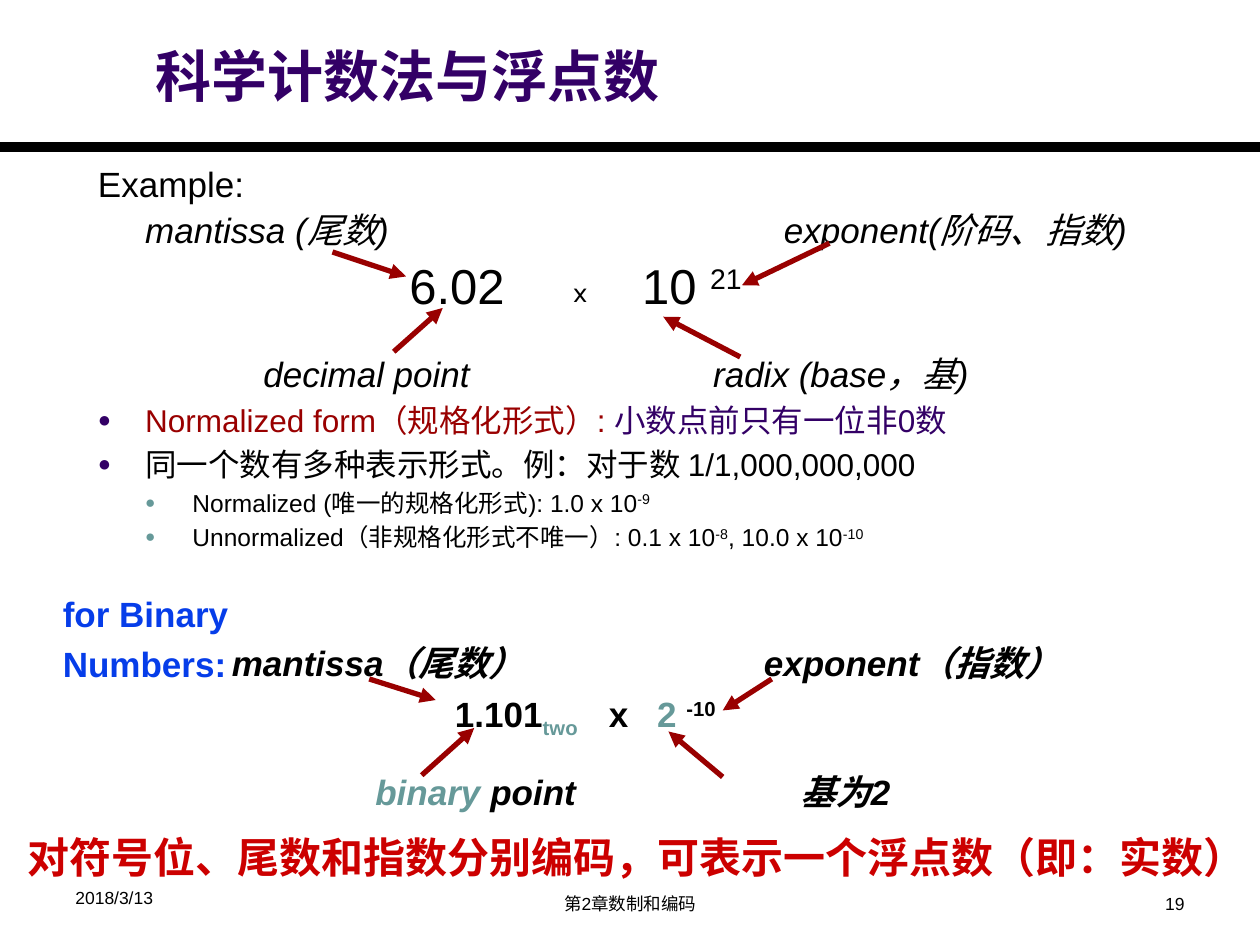
from lxml import etree
from pptx import Presentation
from pptx.dml.color import RGBColor
from pptx.enum import shapes, text
from pptx.oxml import ns
from pptx.util import Pt

BLACK = RGBColor(0, 0, 0)
PURPLE = RGBColor(0x33, 0x00, 0x66)
DARK_RED = RGBColor(0x99, 0x00, 0x00)
RED = RGBColor(0xCC, 0x00, 0x00)
TEAL = RGBColor(0x66, 0x99, 0x99)
BLUE = RGBColor(0x06, 0x3D, 0xE9)
SPACE_RATIO = 0.2  # space before a bullet, as a share of its text size
EXAMPLE_GAP = 112  # room for the decimal number and its labels
INDENT = 27


def add_child(parent, tag, **attributes):
    child = etree.SubElement(parent, ns.qn(tag))
    for name, value in attributes.items():
        child.set(name, str(value))
    return child


def add_span(para, words, size=20, font="Arial", color=BLACK, bold=False,
             italic=False, baseline=0):
    span = para.add_run()
    span.text = words
    span.font.size = Pt(size)
    span.font.name = font
    span.font.color.rgb = color
    span.font.bold = bold
    span.font.italic = italic
    if baseline:
        span.font._element.set("baseline", str(baseline * 1000))


def add_para(frame, spans, before=0, spacing=1.0, align=text.PP_ALIGN.LEFT,
             level=0, bullet=None):
    """Add a paragraph of (words, format) spans, with a bullet if coloured."""
    para = frame.paragraphs[0]
    if para.runs:
        para = frame.add_paragraph()
    para.level = level
    para.alignment = align
    para.line_spacing = spacing
    para.space_before = Pt(before)
    props = para._p.get_or_add_pPr()
    props.set("marL", str(Pt(INDENT * (level + 1) if bullet else 0)))
    props.set("indent", str(Pt(-INDENT if bullet else 0)))
    if bullet:
        add_child(add_child(props, "a:buClr"), "a:srgbClr", val=bullet)
        add_child(props, "a:buSzPct", val=70000)
        add_child(props, "a:buChar", char="●")
    else:
        add_child(props, "a:buNone")
    for words, style in spans:
        add_span(para, words, **style)


def place(box, left, top, width, height):
    box.left, box.top, box.width, box.height = map(Pt, (left, top, width, height))


def set_frame(box, anchor, side, edge):
    frame = box.text_frame
    frame.word_wrap = True
    frame.auto_size = text.MSO_AUTO_SIZE.NONE
    frame.vertical_anchor = anchor
    frame.margin_left = frame.margin_right = Pt(side)
    frame.margin_top = frame.margin_bottom = Pt(edge)
    return frame


def add_box(page, left, top, width, height, side=7.2, edge=3.6):
    box = page.shapes.add_textbox(*map(Pt, (left, top, width, height)))
    return set_frame(box, text.MSO_ANCHOR.TOP, side, edge)


def add_label(page, left, top, width, *spans):
    add_para(add_box(page, left, top, width, 34, side=0, edge=0), spans)


def add_line(page, start, end, color, width, arrow=False):
    line = page.shapes.add_connector(
        shapes.MSO_CONNECTOR.STRAIGHT, *map(Pt, (*start, *end)))
    line.line.color.rgb = color
    line.line.width = Pt(width)
    if arrow:
        add_child(line.line._get_or_add_ln(), "a:tailEnd", type="triangle")
    add_child(line._element.spPr, "a:effectLst")


def fill_body(frame):
    add_para(frame, [("Example:", {})], spacing=0.9)
    main, sub = dict(bullet=PURPLE), dict(level=1, bullet=TEAL)
    add_para(frame, [("Normalized form（规格化形式）: ", dict(size=18, color=DARK_RED)),
                     ("小数点前只有一位非0数", dict(size=18, color=PURPLE))],
             EXAMPLE_GAP, **main)
    add_para(frame, [("同一个数有多种表示形式。例：对于数 1/1,000,000,000",
                      dict(size=18))], 18 * SPACE_RATIO, **main)
    small, power = dict(size=14), dict(size=14, baseline=30)
    add_para(frame, [("Normalized (唯一的规格化形式): 1.0 x 10", small),
                     ("-9", power)], 14 * SPACE_RATIO, **sub)
    add_para(frame, [("Unnormalized（非规格化形式不唯一）: 0.1 x 10", small),
                     ("-8", power), (", 10.0 x 10", small), ("-10", power)],
             14 * SPACE_RATIO, **sub)


def add_decimal_example(page):
    italic, large = dict(italic=True), dict(size=28)
    upper, number, lower = 119, 146, 201.5
    add_label(page, 83, upper, 170, ("mantissa (尾数)", italic))
    add_label(page, 448, upper, 230, ("exponent(阶码、指数)", italic))
    add_label(page, 234, number, 80, ("6.02", large))
    add_label(page, 327.5, number + 11, 20, ("x", dict(size=16, font="Karla")))
    add_label(page, 367, number, 80, ("10 ", large),
              ("21", dict(size=28, baseline=30)))
    add_label(page, 150.5, lower, 150, ("decimal point", italic))
    add_label(page, 407.5, lower, 190, ("radix (base，基)", italic))


def add_binary_example(page):
    bold, slanted = dict(bold=True), dict(bold=True, italic=True)
    upper, number, lower = 366.5, 395.5, 440.5
    add_label(page, 132.5, upper, 200, ("mantissa（尾数）", slanted))
    add_label(page, 436.5, upper, 200, ("exponent（指数）", slanted))
    add_label(page, 260, number, 85, ("1.101", bold),
              ("two", dict(bold=True, color=TEAL, baseline=-25)))
    add_label(page, 348, number, 20, ("x", bold))
    add_label(page, 375.5, number, 60, ("2 ", dict(bold=True, color=TEAL)),
              ("-10", dict(bold=True, baseline=30)))
    add_label(page, 214.5, lower, 150, ("binary ", dict(slanted, color=TEAL)),
              ("point", slanted))
    add_label(page, 457.5, lower, 90, ("基为2", slanted))


def main():
    deck = Presentation()
    deck.slide_width, deck.slide_height = Pt(720), Pt(540)
    page = deck.slides.add_slide(deck.slide_layouts[1])

    # Title, rule and body
    add_line(page, (0, 84), (720, 84), BLACK, 6)
    title, body = page.shapes.title, page.placeholders[1]
    place(title, 84, 21, 498, 43)
    add_para(set_frame(title, text.MSO_ANCHOR.BOTTOM, 5, 2),
             [("科学计数法与浮点数", dict(size=32, color=PURPLE, bold=True))])
    place(body, 51, 93.5, 669, 231)
    fill_body(set_frame(body, text.MSO_ANCHOR.TOP, 5, 2))

    # The two labelled numbers
    add_decimal_example(page)
    add_para(add_box(page, 28.8, 330, 122, 66),
             [("for Binary Numbers:", dict(color=BLUE, bold=True))], 6.9, 1.2)
    add_binary_example(page)

    # Arrows from labels to the parts of both numbers
    for start, end in (
            ((190, 144), (232, 158)), ((474, 139), (424, 163)),
            ((225, 201), (253, 176)), ((423, 204), (379, 181)),
            ((211, 388), (249, 400)), ((441, 388), (413, 406)),
            ((241, 443), (271, 416)), ((413, 444), (382, 418))):
        add_line(page, start, end, DARK_RED, 3, arrow=True)

    # Conclusion
    add_para(add_box(page, 8.6, 471.5, 720, 36),
             [("对符号位、尾数和指数分别编码，可表示一个浮点数（即：实数）",
               dict(size=24, font="Times New Roman", color=RED, bold=True))])

    # Footer
    for words, left, top, width, align in (
            ("2018/3/13", 36, 503.5, 168, text.PP_ALIGN.LEFT),
            ("第2章数制和编码", 246, 507, 228, text.PP_ALIGN.CENTER),
            ("19", 516, 507, 168, text.PP_ALIGN.RIGHT)):
        add_para(add_box(page, left, top, width, 21),
                 [(words, dict(size=10))], align=align)

    deck.save("out.pptx")


if __name__ == "__main__":
    main()
